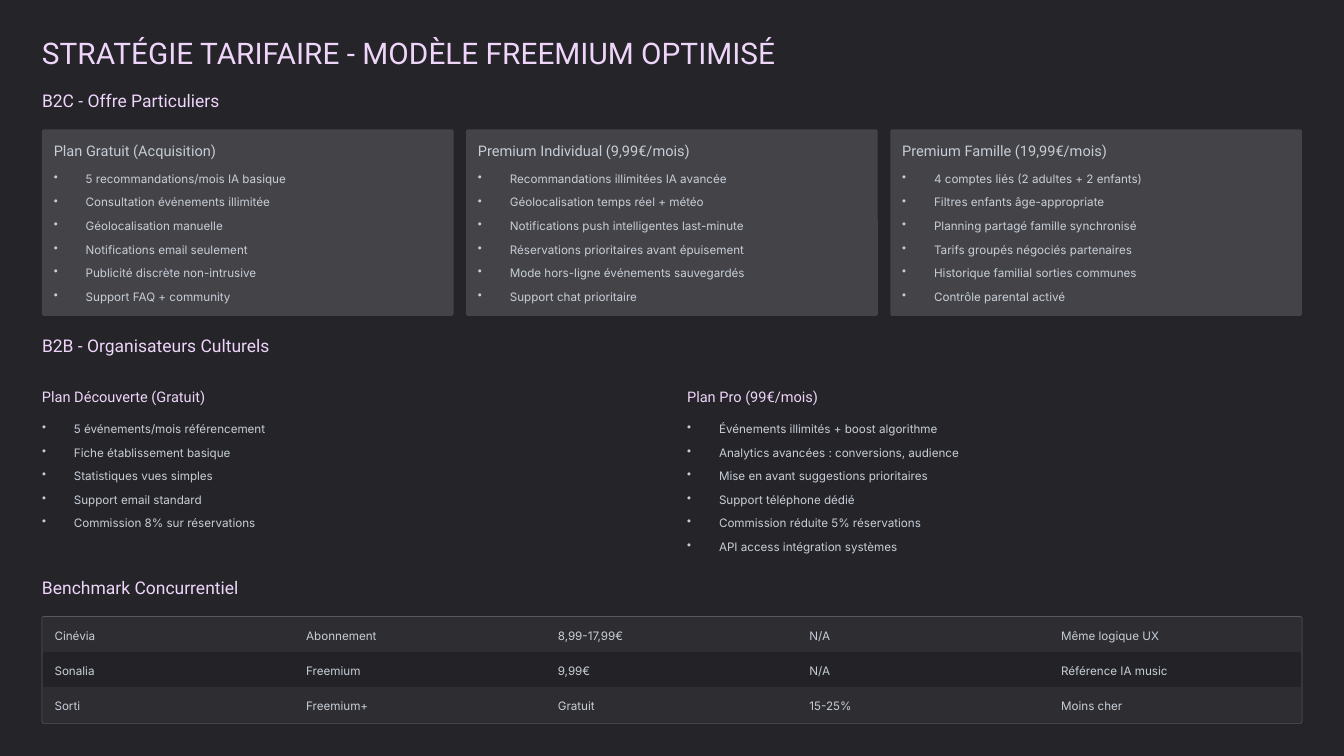
from pptx import Presentation
from pptx.dml.color import RGBColor
from pptx.enum.shapes import MSO_SHAPE
from pptx.oxml import parse_xml
from pptx.oxml.ns import nsdecls, qn
from pptx.util import Inches, Pt

BACKGROUND = RGBColor(0x24, 0x24, 0x29)
CARD = RGBColor(0x43, 0x43, 0x48)
LILAC = RGBColor(0xEF, 0xD5, 0xFA)
GREY = RGBColor(0xC7, 0xCD, 0xD6)
BORDER = RGBColor(0x59, 0x59, 0x5C)
ROW_FILLS = [RGBColor(0x2D, 0x2D, 0x32), RGBColor(0x23, 0x23, 0x27)]

TITLE = {"name": "Roboto", "size": Pt(25.5), "color": LILAC, "line": Pt(32)}
SECTION = {"name": "Roboto", "size": Pt(15), "color": LILAC, "line": Pt(19)}
PLAN = {"name": "Roboto", "size": Pt(12.5), "color": LILAC, "line": Pt(16)}
CARD_PLAN = {**PLAN, "color": GREY}
BODY = {"name": "Inter", "size": Pt(10), "color": GREY, "line": Pt(16)}

NO_STYLE = "{2D5ABB26-0587-4C30-8999-92F81FD0307C}"
MARGIN = 0.5
CONTENT_WIDTH = 15
LINE_PITCH = 0.28

SECTIONS = [
    ("B2C - Offre Particuliers", 1.06, 2.31),
    ("B2B - Organisateurs Culturels", 3.97, 2.95),
    ("Benchmark Concurrentiel", 6.86, 2.57),
]
CONSUMER_PLANS = [
    ("Plan Gratuit (Acquisition)", 2.09, [
        "5 recommandations/mois IA basique",
        "Consultation événements illimitée",
        "Géolocalisation manuelle",
        "Notifications email seulement",
        "Publicité discrète non-intrusive",
        "Support FAQ + community"]),
    ("Premium Individual (9,99€/mois)", 2.73, [
        "Recommandations illimitées IA avancée",
        "Géolocalisation temps réel + météo",
        "Notifications push intelligentes last-minute",
        "Réservations prioritaires avant épuisement",
        "Mode hors-ligne événements sauvegardés",
        "Support chat prioritaire"]),
    ("Premium Famille (19,99€/mois)", 2.59, [
        "4 comptes liés (2 adultes + 2 enfants)",
        "Filtres enfants âge-appropriate",
        "Planning partagé famille synchronisé",
        "Tarifs groupés négociés partenaires",
        "Historique familial sorties communes",
        "Contrôle parental activé"]),
]
BUSINESS_PLANS = [
    ("Plan Découverte (Gratuit)", 2.13, [
        "5 événements/mois référencement",
        "Fiche établissement basique",
        "Statistiques vues simples",
        "Support email standard",
        "Commission 8% sur réservations"]),
    ("Plan Pro (99€/mois)", 1.79, [
        "Événements illimités + boost algorithme",
        "Analytics avancées : conversions, audience",
        "Mise en avant suggestions prioritaires",
        "Support téléphone dédié",
        "Commission réduite 5% réservations",
        "API access intégration systèmes"]),
]
BENCHMARK = [
    ["Cinévia", "Abonnement", "8,99-17,99€", "N/A", "Même logique UX"],
    ["Sonalia", "Freemium", "9,99€", "N/A", "Référence IA music"],
    ["Sorti", "Freemium+", "Gratuit", "15-25%", "Moins cher"],
]


def write(paragraph, text, style):
    paragraph.line_spacing = style["line"]
    run = paragraph.add_run()
    run.text = text
    for attribute in ("name", "size"):
        setattr(run.font, attribute, style[attribute])
    run.font.color.rgb = style["color"]


def set_margins(target, **margins):
    """Set the inner margins, in inches, of a text frame or a cell."""
    for side, length in margins.items():
        setattr(target, f"margin_{side}", Inches(length))


def add_text_frame(slide, left, top, width, height):
    box = slide.shapes.add_textbox(Inches(left), Inches(top), Inches(width), Inches(height))
    frame = box.text_frame
    frame.word_wrap = True
    set_margins(frame, left=0, top=0, right=0, bottom=0)
    return frame


def add_heading(slide, text, left, top, width, style):
    frame = add_text_frame(slide, left, top, width, style["line"].inches)
    write(frame.paragraphs[0], text, style)


def add_bullets(slide, items, left, top, width):
    frame = add_text_frame(slide, left, top, width, LINE_PITCH * len(items))
    for index, item in enumerate(items):
        paragraph = frame.add_paragraph() if index else frame.paragraphs[0]
        properties = paragraph._p.get_or_add_pPr()
        properties.set("marL", str(Inches(0.38)))
        properties.set("indent", str(Inches(-0.38)))
        properties.append(parse_xml(f'<a:buChar {nsdecls("a")} char="•"/>'))
        if index:
            paragraph.space_before = Inches(LINE_PITCH) - BODY["line"]
        write(paragraph, item, BODY)


def add_rounded(slide, left, top, width, height, radius):
    shape = slide.shapes.add_shape(MSO_SHAPE.ROUNDED_RECTANGLE, Inches(left), Inches(top),
                                   Inches(width), Inches(height))
    shape.adjustments[0] = radius
    shape.shadow.inherit = False
    return shape


def add_card(slide, plan, left, top, width, height):
    name, name_width, features = plan
    card = add_rounded(slide, left, top, width, height, 0.01)
    card.fill.solid()
    card.fill.fore_color.rgb = CARD
    card.line.fill.background()
    padding = 0.14
    add_heading(slide, name, left + padding, top + padding, name_width, CARD_PLAN)
    add_bullets(slide, features, left + padding, top + 0.45, width - 2 * padding)


def add_plan_column(slide, plan, left, top, width):
    name, name_width, features = plan
    add_heading(slide, name, left, top, name_width, PLAN)
    add_bullets(slide, features, left, top + 0.37, width)


def add_benchmark(slide, left, top, width, height):
    frame = add_rounded(slide, left, top, width, height, 0.017)
    frame.fill.background()
    frame.line.color.rgb = BORDER
    frame.line.width = Pt(0.6)

    inset = 0.01
    graphic = slide.shapes.add_table(
        len(BENCHMARK), len(BENCHMARK[0]), Inches(left + inset), Inches(top + inset),
        Inches(width - 2 * inset), Inches(height - 2 * inset))
    table = graphic.table
    table.first_row = table.horz_banding = False
    for style_id in graphic._element.iter(qn("a:tableStyleId")):
        style_id.text = NO_STYLE
    for row_index, values in enumerate(BENCHMARK):
        for column_index, value in enumerate(values):
            cell = table.cell(row_index, column_index)
            cell.fill.solid()
            cell.fill.fore_color.rgb = ROW_FILLS[row_index % 2]
            set_margins(cell, left=0.14, top=0.09, right=0.14, bottom=0.05)
            write(cell.text_frame.paragraphs[0], value, BODY)


def build_pricing_slide(presentation):
    slide = presentation.slides.add_slide(presentation.slide_layouts[6])
    slide.background.fill.solid()
    slide.background.fill.fore_color.rgb = BACKGROUND
    add_heading(slide, "STRATÉGIE TARIFAIRE - MODÈLE FREEMIUM OPTIMISÉ", MARGIN, 0.39, 9.37, TITLE)
    for text, top, width in SECTIONS:
        add_heading(slide, text, MARGIN, top, width, SECTION)

    card_width = 4.9
    card_pitch = (CONTENT_WIDTH - card_width) / (len(CONSUMER_PLANS) - 1)
    for index, plan in enumerate(CONSUMER_PLANS):
        add_card(slide, plan, MARGIN + index * card_pitch, 1.54, card_width, 2.22)

    column_width = 7.32
    for index, plan in enumerate(BUSINESS_PLANS):
        left = MARGIN + index * (CONTENT_WIDTH - column_width)
        add_plan_column(slide, plan, left, 4.6, column_width)

    add_benchmark(slide, MARGIN, 7.34, CONTENT_WIDTH, 1.27)


def main():
    presentation = Presentation()
    presentation.slide_width = Inches(16)
    presentation.slide_height = Inches(9)
    build_pricing_slide(presentation)
    presentation.save("out.pptx")


if __name__ == "__main__":
    main()
